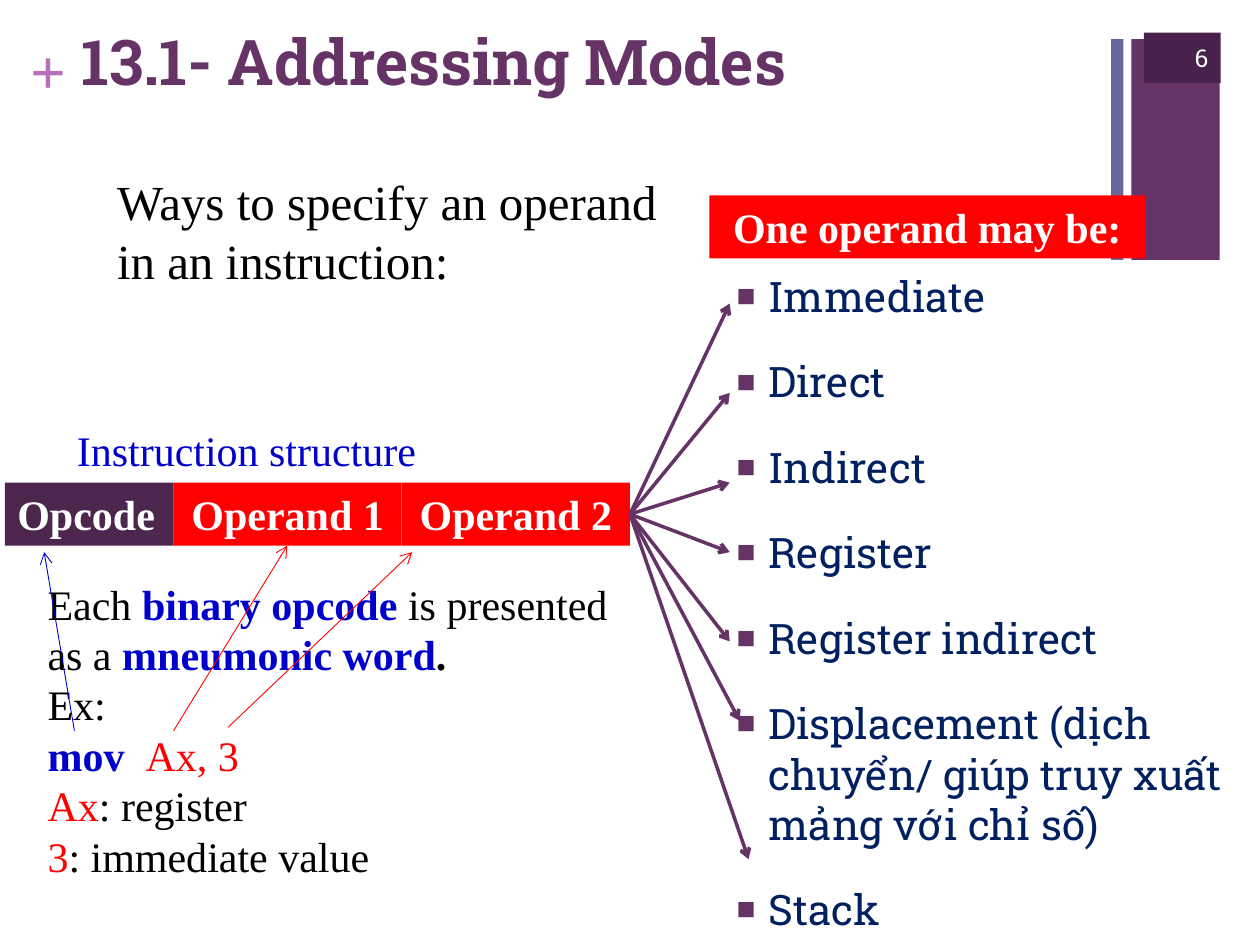
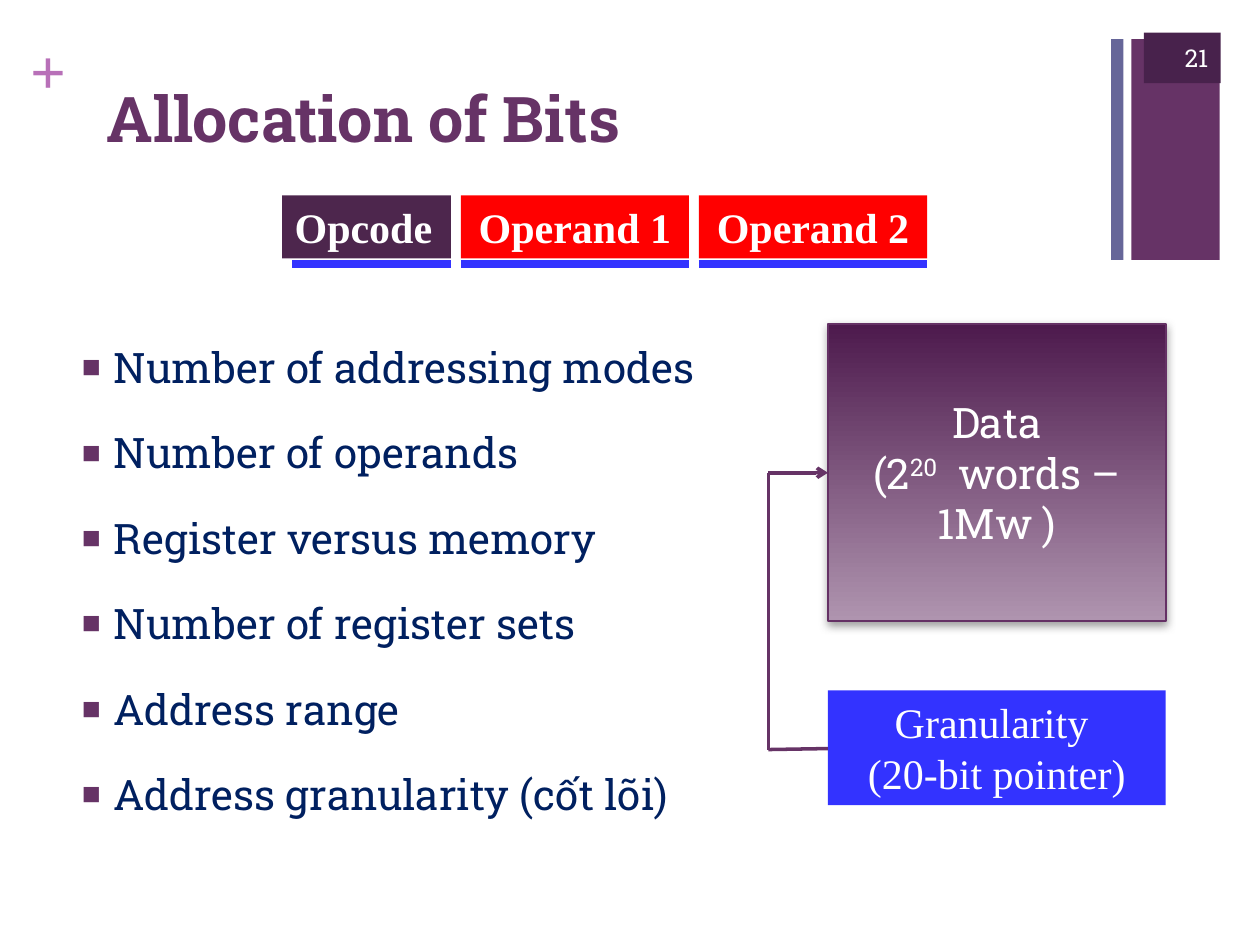
from dataclasses import dataclass

from lxml.etree import SubElement
from pptx import Presentation
from pptx.dml.color import RGBColor
from pptx.enum.shapes import MSO_CONNECTOR, MSO_SHAPE
from pptx.enum.text import MSO_ANCHOR, MSO_AUTO_SIZE, PP_ALIGN
from pptx.oxml.ns import qn
from pptx.util import Cm, Pt

COLORS = {
    "plum": "663366",
    "slate": "666699",
    "orchid": "B870B8",
    "badge": "48224C",
    "opcode": "4D264D",
    "operand": "FF0000",
    "navy": "002060",
    "keyword": "0000CC",
    "pointer": "3333FF",
    "data_top": "4D1A4D",
    "data_bottom": "AF94AF",
    "data_edge": "653165",
    "shadow": "808080",
    "black": "000000",
    "white": "FFFFFF",
}
SERIF = "Times New Roman"
SLAB = "Roboto Slab"
FIELD_HEIGHT = 1.27
FIELDS = [
    ("Opcode", 3.4, "opcode", PP_ALIGN.LEFT),
    ("Operand 1", 4.6, "operand", PP_ALIGN.CENTER),
    ("Operand 2", 4.6, "operand", PP_ALIGN.CENTER),
]


@dataclass
class Style:
    font: str = SERIF
    size: int = 24
    color: str = "black"
    bold: bool = False
    align: PP_ALIGN = PP_ALIGN.LEFT


@dataclass
class Span:
    text: str
    color: str = ""
    bold: bool = False
    raised: bool = False


def rgb(name):
    return RGBColor.from_string(COLORS[name])


def write(frame, paragraphs, style):
    for index, spans in enumerate(paragraphs):
        paragraph = frame.paragraphs[0] if index == 0 else frame.add_paragraph()
        paragraph.alignment = style.align
        for span in [Span(spans)] if isinstance(spans, str) else spans:
            run = paragraph.add_run()
            run.text = span.text
            run.font.name = style.font
            run.font.size = Pt(style.size)
            run.font.bold = style.bold or span.bold
            run.font.color.rgb = rgb(span.color or style.color)
            if span.raised:
                run._r.get_or_add_rPr().set("baseline", "30000")


def add_text(slide, box, paragraphs, style, wrap=True, grow=True):
    frame = slide.shapes.add_textbox(*map(Cm, box)).text_frame
    frame.word_wrap = wrap
    frame.auto_size = MSO_AUTO_SIZE.SHAPE_TO_FIT_TEXT if grow else MSO_AUTO_SIZE.NONE
    write(frame, paragraphs, style)
    return frame


def add_block(slide, box, color, paragraphs=(), style=None, anchor=MSO_ANCHOR.TOP):
    block = slide.shapes.add_shape(MSO_SHAPE.RECTANGLE, *map(Cm, box))
    block.shadow.inherit = False
    block.fill.solid()
    block.fill.fore_color.rgb = rgb(color)
    block.line.fill.background()
    block.text_frame.word_wrap = True
    block.text_frame.vertical_anchor = anchor
    write(block.text_frame, paragraphs, style)
    return block


def add_line(slide, start, end, color, width, arrow=False):
    line = slide.shapes.add_connector(
        MSO_CONNECTOR.STRAIGHT, *map(Cm, (*start, *end))
    )
    line.line.color.rgb = rgb(color)
    line.line.width = Pt(width)
    properties = line._element.spPr
    if arrow:
        SubElement(properties.find(qn("a:ln")), qn("a:tailEnd"), type="arrow")
    SubElement(properties, qn("a:effectLst"))


def add_bullets(slide, box, items):
    style = Style(SLAB, color="navy")
    frame = add_text(slide, box, items, style, grow=False)
    for paragraph in frame.paragraphs:
        paragraph.space_before = Pt(20)
        properties = paragraph._p.get_or_add_pPr()
        properties.set("marL", str(Cm(0.64)))
        properties.set("indent", str(Cm(-0.64)))
        bullet_color = SubElement(properties, qn("a:buClr"))
        SubElement(bullet_color, qn("a:srgbClr"), val=COLORS["plum"])
        SubElement(properties, qn("a:buSzPct"), val="75000")
        SubElement(properties, qn("a:buFont"), typeface="Arial")
        SubElement(properties, qn("a:buChar"), char="■")


def add_instruction(slide, left, top, gap=0):
    spans = []
    for name, width, color, align in FIELDS:
        style = Style(color="white", bold=True, align=align)
        add_block(slide, (left, top, width, FIELD_HEIGHT), color, [name], style)
        spans.append((left, left + width))
        left += width + gap
    return spans


def start_slide(deck, title, title_box):
    slide = deck.slides.add_slide(deck.slide_layouts[6])
    add_block(slide, (22.81, 0.79, 1.78, 4.45), "plum")
    plus = add_text(
        slide, (0.61, 0.64, 0.74, 1.55), ["+"], Style(size=36, color="orchid", bold=True)
    )
    plus.margin_left = plus.margin_right = plus.margin_top = plus.margin_bottom = 0
    add_block(slide, (22.4, 0.79, 0.25, 4.45), "slate")
    add_text(slide, title_box, [title], Style(SLAB, 36, "plum", True), grow=False)
    return slide


def add_page_number(slide, number):
    style = Style(SLAB, 14, "white", align=PP_ALIGN.RIGHT)
    add_block(
        slide, (23.06, 0.66, 1.55, 1.02), "badge", [number], style, MSO_ANCHOR.MIDDLE
    )


def add_data_store(slide, box):
    words = [Span("(2"), Span("20", raised=True), Span("  words – 1Mw )")]
    style = Style(SLAB, color="white", align=PP_ALIGN.CENTER)
    store = add_block(slide, box, "data_top", ["Data", words], style, MSO_ANCHOR.MIDDLE)
    store.fill.gradient()
    store.fill.gradient_angle = 270
    for stop, position, color in zip(
        store.fill.gradient_stops, (0, 1), ("data_top", "data_bottom")
    ):
        stop.position = position
        stop.color.rgb = rgb(color)
    store.line.color.rgb = rgb("data_edge")
    store.line.width = Pt(1)
    effects = store._element.spPr.find(qn("a:effectLst"))
    shadow = SubElement(
        effects,
        qn("a:outerShdw"),
        blurRad=str(Pt(5)),
        dist=str(Pt(2)),
        dir="5400000",
        rotWithShape="0",
    )
    shade = SubElement(shadow, qn("a:srgbClr"), val=COLORS["shadow"])
    SubElement(shade, qn("a:alpha"), val="75000")


def build_addressing_modes(deck):
    slide = start_slide(deck, "13.1- Addressing Modes", (1.4, 0.33, 20.98, 1.57))
    modes = [
        "Immediate",
        "Direct",
        "Indirect",
        "Register",
        "Register indirect",
        "Displacement (dịch chuyển/ giúp truy xuất mảng với chỉ số)",
        "Stack",
    ]
    add_bullets(slide, (14.6, 5.33, 10.49, 12.6), modes)
    lead = ["Ways to specify an operand", "in an instruction:"]
    add_text(slide, (2.11, 3.33, 11.51, 2.64), lead, Style(size=28), wrap=False)
    add_page_number(slide, "6")

    top = 9.73
    fields = add_instruction(slide, 0.1, top)
    operand_edge = (fields[-1][1], top + FIELD_HEIGHT / 2)
    mode_points = [
        (14.71, 6.12),
        (14.71, 7.92),
        (14.71, 9.73),
        (14.71, 11.13),
        (14.71, 12.93),
        (14.91, 14.53),
        (15.09, 17.32),
    ]
    for mode_point in mode_points:
        add_line(slide, operand_edge, mode_point, "plum", 2, arrow=True)

    explanation = [
        [
            Span("Each "),
            Span("binary opcode ", "keyword", True),
            Span("is presented as a "),
            Span("mneumonic word", "keyword", True),
            Span(".", bold=True),
        ],
        "Ex:",
        [Span("mov  ", "keyword", True), Span("Ax, 3", "operand")],
        [Span("Ax", "operand"), Span(": register")],
        [Span("3", "operand"), Span(": immediate value")],
    ]
    add_text(slide, (0.71, 11.53, 11.99, 6.4), explanation, Style())
    add_text(
        slide,
        (1.3, 8.43, 10.39, FIELD_HEIGHT),
        ["Instruction structure"],
        Style(color="keyword"),
    )
    add_block(
        slide,
        (14.3, 3.94, 8.79, FIELD_HEIGHT),
        "operand",
        ["One operand may be:"],
        Style(color="white", bold=True, align=PP_ALIGN.CENTER),
    )
    for word, field, color in [
        ((1.5, 14.73), (0.89, 11.13), "keyword"),
        ((3.5, 14.73), (5.79, 11), "operand"),
        ((4.6, 14.66), (8.31, 11.13), "operand"),
    ]:
        add_line(slide, word, field, color, 0.5, arrow=True)


def build_bit_allocation(deck):
    slide = start_slide(deck, "Allocation of Bits", (1.9, 1.47, 20.98, 3.1))
    factors = [
        "Number of addressing modes",
        "Number of operands",
        "Register versus memory",
        "Number of register sets",
        "Address range",
        "Address granularity (cốt lõi)",
    ]
    add_bullets(slide, (1.4, 6.76, 20.98, 10.77), factors)
    add_page_number(slide, "21")

    fields = add_instruction(slide, 5.69, 3.94, gap=0.2)
    for (left, right), inset in zip(fields, (0.2, 0, 0)):
        add_line(slide, (left + inset, 5.33), (right, 5.33), "pointer", 4.5)

    add_block(
        slide,
        (16.69, 13.92, 6.81, 2.31),
        "pointer",
        ["Granularity ", "(20-bit pointer)"],
        Style(color="white", align=PP_ALIGN.CENTER),
    )
    add_data_store(slide, (16.69, 6.53, 6.81, 5.99))
    route = [(16.69, 15.09), (15.49, 15.11), (15.49, 9.53), (16.69, 9.53)]
    for start, end in zip(route, route[1:]):
        add_line(slide, start, end, "plum", 2, arrow=end == route[-1])


def main():
    deck = Presentation()
    deck.slide_width = Cm(25.4)
    deck.slide_height = Cm(19.05)
    build_addressing_modes(deck)
    build_bit_allocation(deck)
    deck.save("out.pptx")


if __name__ == "__main__":
    main()
